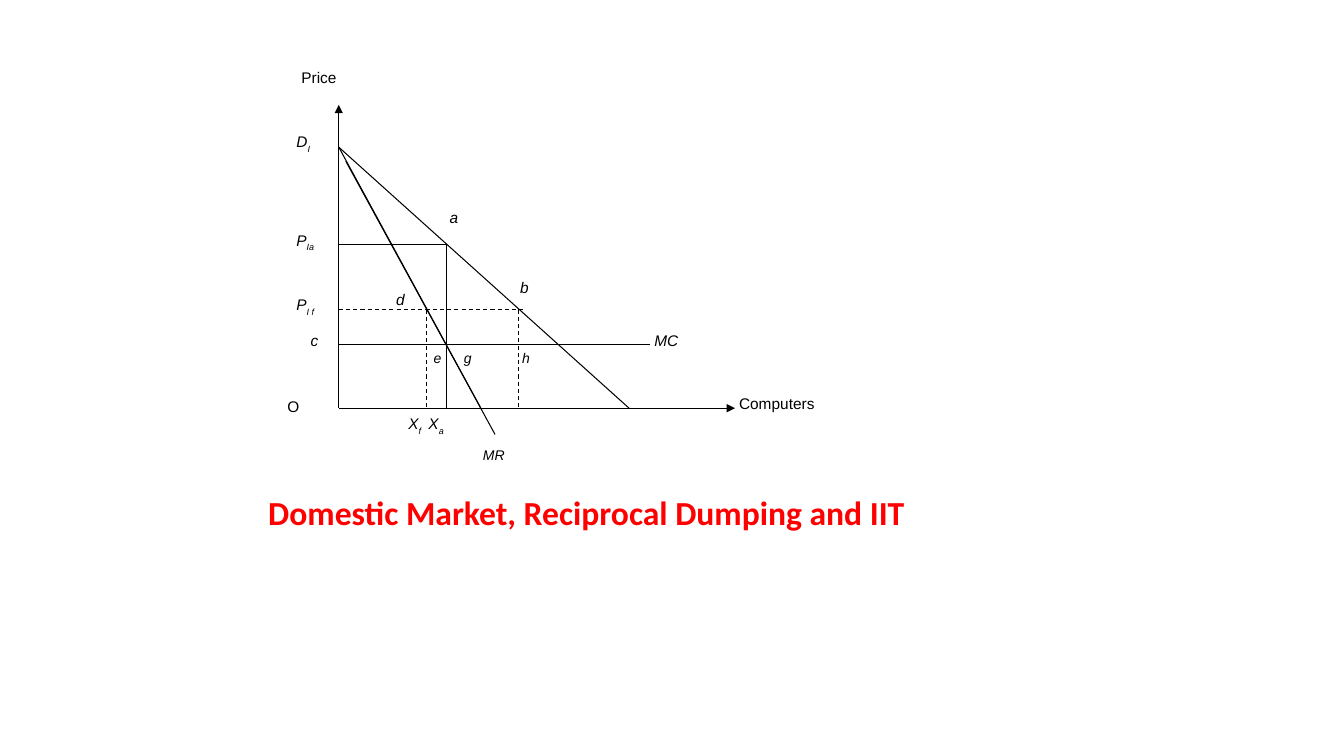
"""Build the slide on the domestic market with reciprocal dumping."""
from lxml.etree import SubElement
from pptx import Presentation
from pptx.dml.color import RGBColor
from pptx.enum.dml import MSO_LINE
from pptx.enum.shapes import MSO_CONNECTOR
from pptx.enum.text import MSO_ANCHOR, MSO_AUTO_SIZE, PP_ALIGN
from pptx.oxml.ns import qn
from pptx.util import Inches, Pt

BLACK = RGBColor(0, 0, 0)
RED = RGBColor(255, 0, 0)
FRAME = {
    "margin_left": Inches(0.06), "margin_right": Inches(0.06),
    "margin_top": Inches(0.03), "margin_bottom": Inches(0.03),
    "word_wrap": True, "auto_size": MSO_AUTO_SIZE.NONE,
    "vertical_anchor": MSO_ANCHOR.TOP,
}

AXIS_X, AXIS_Y = 3.36, 4.05
DEMAND_TOP = 1.46
AUTARKY_X, AUTARKY_PRICE = 4.43, 2.43
TRADE_X, TRADE_TOTAL, TRADE_PRICE = 4.23, 5.14, 3.07
COST = 3.42


def write_span(para, text, color, **font_values):
    span = para.add_run()
    span.text = text
    span.font.color.rgb = color
    for name, value in font_values.items():
        setattr(span.font, name, value)
    return span


def format_frame(frame):
    for name, value in FRAME.items():
        setattr(frame, name, value)
    para = frame.paragraphs[0]
    para.alignment = PP_ALIGN.LEFT
    return para


deck = Presentation()
deck.slide_width, deck.slide_height = Inches(13.33), Inches(7.5)
page = deck.slides.add_slide(deck.slide_layouts[5])

title = page.shapes.title
title.left, title.top = Inches(2.6), Inches(4.85)
title.width, title.height = Inches(7.03), Inches(0.77)
write_span(format_frame(title.text_frame), "Domestic Market, Reciprocal Dumping and IIT",
           RED, name="Calibri", size=Pt(24), bold=True)

lines = [
    (AXIS_X, AXIS_Y, AXIS_X, 1.04, "arrow"),
    (AXIS_X, AXIS_Y, 7.29, AXIS_Y, "arrow"),
    (AXIS_X, DEMAND_TOP, 6.24, AXIS_Y, "solid"),
    (AXIS_X, DEMAND_TOP, 4.77, AXIS_Y, "solid"),
    (3.43, 1.6, 4.91, 4.31, "solid"),
    (AXIS_X, COST, 6.45, COST, "solid"),
    (AUTARKY_X, AXIS_Y, AUTARKY_X, AUTARKY_PRICE, "solid"),
    (AUTARKY_X, AUTARKY_PRICE, AXIS_X, AUTARKY_PRICE, "solid"),
    (AXIS_X, TRADE_PRICE, 5.19, TRADE_PRICE, "dash"),
    (TRADE_TOTAL, TRADE_PRICE, TRADE_TOTAL, AXIS_Y, "dash"),
    (TRADE_X, TRADE_PRICE, TRADE_X, AXIS_Y, "dash"),
]
for *ends, style in lines:
    line = page.shapes.add_connector(MSO_CONNECTOR.STRAIGHT, *map(Inches, ends))
    line.line.color.rgb = BLACK
    line.line.width = Pt(0.75)
    if style == "dash":
        line.line.dash_style = MSO_LINE.DASH
    if style == "arrow":
        SubElement(line.line._get_or_add_ln(), qn("a:tailEnd"), type="triangle")
    SubElement(line._element.spPr, qn("a:effectLst"))

labels = [
    (2.93, 0.65, 0.8, "Price", "", 11, False),
    (7.27, 3.88, 1.46, "Computers", "", 11, False),
    (2.79, 3.91, 0.42, "O", "", 11, False),
    (2.88, 1.28, 0.51, "D", "I", 11, True),
    (2.88, 2.26, 0.78, "P", "Ia", 11, True),
    (2.88, 2.9, 0.78, "P", "I f", 11, True),
    (3.02, 3.25, 0.35, "c", "", 11, True),
    (3.99, 4.08, 0.4, "X", "f", 11, True),
    (4.19, 4.08, 0.4, "X", "a", 11, True),
    (4.73, 4.4, 0.59, "MR", "", 10, True),
    (6.43, 3.25, 0.65, "MC", "", 11, True),
    (4.4, 2.03, 0.36, "a", "", 11, True),
    (5.1, 2.73, 0.36, "b", "", 11, True),
    (3.87, 2.85, 0.38, "d", "", 11, True),
    (4.24, 3.44, 0.3, "e", "", 10, True),
    (4.54, 3.44, 0.3, "g", "", 10, True),
    (5.12, 3.44, 0.3, "h", "", 10, True),
]
for left, top, width, text, subscript, size, italic in labels:
    box = page.shapes.add_textbox(Inches(left), Inches(top), Inches(width), Inches(0.42))
    para = format_frame(box.text_frame)
    font_values = {"name": "Arial", "size": Pt(size), "italic": italic}
    write_span(para, text, BLACK, **font_values)
    if subscript:
        span = write_span(para, subscript, BLACK, **font_values)
        span._r.get_or_add_rPr().set("baseline", "-30000")

deck.save("out.pptx")
